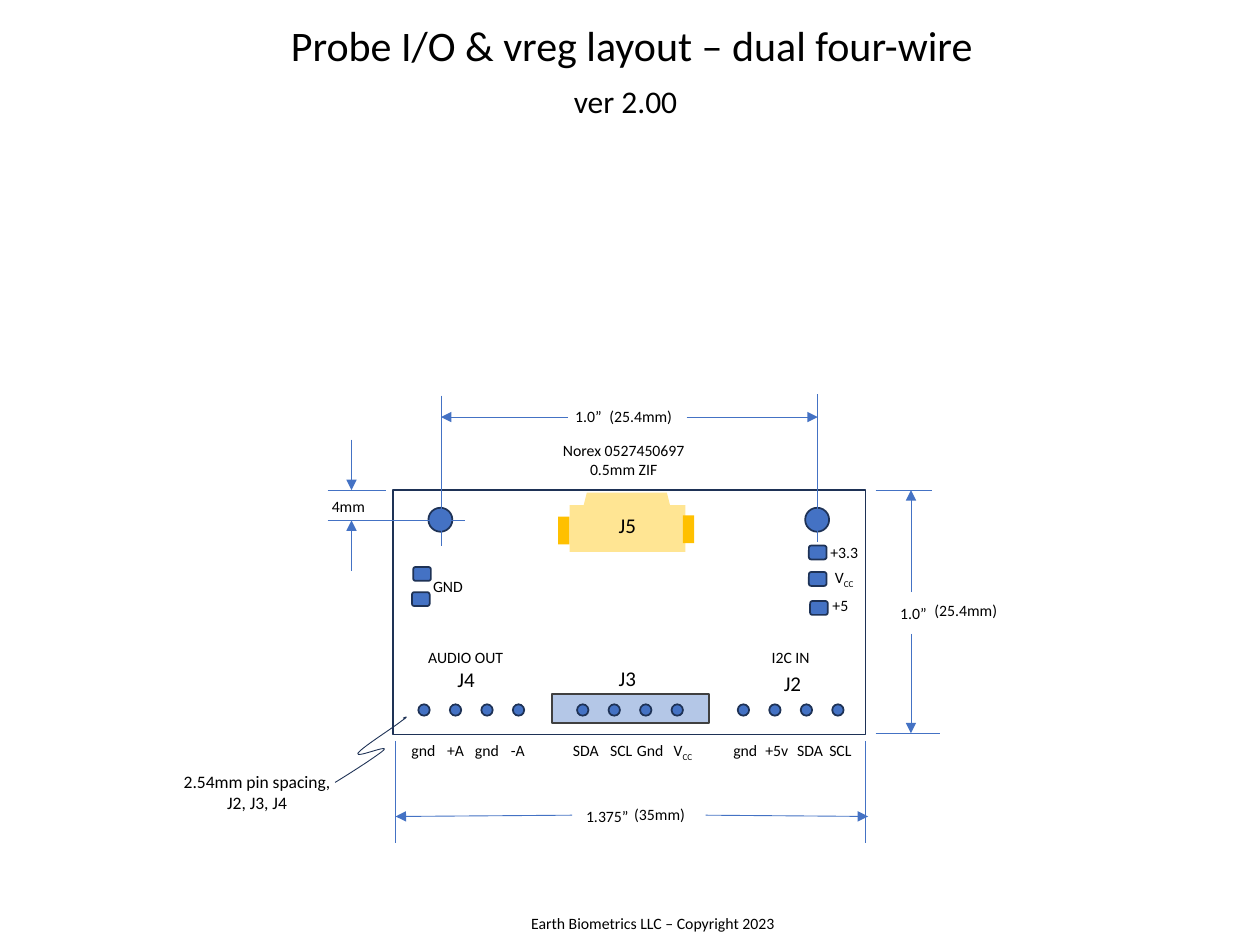
from dataclasses import dataclass
from typing import NamedTuple, Optional

from lxml.etree import SubElement
from pptx import Presentation
from pptx.dml.color import RGBColor
from pptx.enum.shapes import MSO_CONNECTOR, MSO_SHAPE
from pptx.enum.text import MSO_ANCHOR, PP_ALIGN
from pptx.oxml.ns import qn
from pptx.util import Inches, Pt

BLACK = RGBColor(0x00, 0x00, 0x00)
NAVY = RGBColor(0x1E, 0x32, 0x56)
BLUE = RGBColor(0x44, 0x72, 0xC4)
PALE_BLUE = RGBColor(0xB4, 0xC7, 0xE7)
GRAY = RGBColor(0x40, 0x40, 0x40)
CREAM = RGBColor(0xFF, 0xE5, 0x93)
AMBER = RGBColor(0xFF, 0xC0, 0x00)
FONT = "Calibri"

# The slide is a grid of 1000 columns by 750 rows; all lengths count its cells.
SLIDE_W, SLIDE_H = Inches(10), Inches(7.5)
COL, ROW = SLIDE_W / 1000, SLIDE_H / 750

PIN_PITCH, PIN_SIZE, PIN_Y = 25, 9, 563.5
LABEL_TOP, LABEL_H = 583, 25
BOARD_LEFT, BOARD_TOP, BOARD_RIGHT, BOARD_BOTTOM = 312, 389, 687, 583
HOLE_Y, HOLE_SIZE = 412.5, 19


class Box(NamedTuple):
    left: float
    top: float
    width: float
    height: float


class PinLabel(NamedTuple):
    text: str
    center: float
    width: float


@dataclass
class Header:
    name: str
    name_box: Box
    first_pin: float
    pin_labels: tuple[PinLabel, ...]


@dataclass
class Label:
    """Centred text; an underscore starts a subscript."""
    text: str
    box: Box
    size: int = 9


@dataclass
class Rule:
    x1: float
    y1: float
    x2: float
    y2: float
    arrow: bool = False


HEADERS = (
    Header("J4", Box(353, 524, 34, 30), 336.5, (
        PinLabel("gnd", 336, 42), PinLabel("+A", 361.5, 35),
        PinLabel("gnd", 386.5, 43), PinLabel("-A", 411, 34))),
    Header("J3", Box(481, 523, 34, 30), 462.5, (
        PinLabel("SDA", 465, 44), PinLabel("SCL", 493, 48),
        PinLabel("Gnd", 516, 42), PinLabel("V_CC", 542, 42))),
    Header("J2", Box(612, 527, 34, 30), 590, (
        PinLabel("gnd", 591.5, 41), PinLabel("+5v", 616.5, 41),
        PinLabel("SDA", 643, 44), PinLabel("SCL", 667, 48))),
)

LABELS = (
    Label("ver 2.00", Box(445, 60, 103, 40), 18),
    Label("Earth Biometrics LLC – Copyright 2023", Box(273, 720, 490, 25)),
    Label("Norex 0527450697\n0.5mm ZIF", Box(393, 345, 204, 40)),
    Label("2.54mm pin spacing,\nJ2, J3, J4", Box(129, 607, 150, 44), 10),
    Label("J5", Box(481, 402, 34, 30), 12),
    Label("+3.3", Box(645, 426, 50, 25)),
    Label("V_CC", Box(649, 446, 42, 25)),
    Label("+5", Box(649, 468, 36, 25)),
    Label("GND", Box(332, 453, 47, 25)),
    Label("AUDIO OUT", Box(327, 509, 85, 25)),
    Label("I2C IN", Box(585, 509, 85, 25)),
    Label("1.375”", Box(452, 635, 60, 25)),
    Label("(35mm)", Box(487, 634, 73, 25)),
    Label("1.0”", Box(696, 474, 58, 25)),
    Label("(25.4mm)", Box(730, 472, 73, 25)),
    Label("1.0”", Box(437, 318, 60, 25)),
    Label("(25.4mm)", Box(472, 318, 73, 25)),
    Label("4mm", Box(240, 389, 73, 25)),
)

HOLES_X = (349.5, 648.5)
SOLDER_PADS = ((643, 477), (642, 454), (642, 433), (328, 450), (327, 470))

DIMENSIONS = (
    # Board height
    Rule(695, BOARD_BOTTOM - 1, 746, BOARD_BOTTOM - 1),
    Rule(695, BOARD_TOP, 740, BOARD_TOP),
    Rule(723, 470, 723, BOARD_TOP, True),
    Rule(723, 503, 723, BOARD_BOTTOM - 1, True),
    # Board width
    Rule(687, 588, 687, 669),
    Rule(314, 588, 314, 669),
    Rule(454, 647, 314, 648, True),
    Rule(560, 647, 689, 648, True),
    # Hole spacing
    Rule(350, 314, 350, 433),
    Rule(649, 313, 649, 430),
    Rule(451, 331, 350, 331, True),
    Rule(545, 331, 649, 331, True),
    # Hole to board edge
    Rule(260, 413, 369, 413),
    Rule(260, BOARD_TOP, 306, BOARD_TOP),
    Rule(279, 349, 279, BOARD_TOP, True),
    Rule(279, 453, 279, 413, True),
)

# Start, then two control points and an end for each curve.
LEADER = ((266, 621), (284, 610), (302, 598), (305, 595), (308, 591),
          (282, 602), (284, 598), (286, 594), (313, 577), (319, 572),
          (325, 568), (322, 569), (320, 570))


def place(box: Box) -> tuple[int, int, int, int]:
    return (round(box.left * COL), round(box.top * ROW),
            round(box.width * COL), round(box.height * ROW))


def centered(x: float, y: float, size: float) -> Box:
    return Box(x - size / 2, y - size / 2, size, size)


def add_run(paragraph, text: str, size: int):
    run = paragraph.add_run()
    run.text = text
    run.font.name, run.font.size = FONT, Pt(size)
    run.font.color.rgb = BLACK
    return run


def draw_label(shapes, label: Label) -> None:
    frame = shapes.add_textbox(*place(label.box)).text_frame
    frame.word_wrap = True
    frame.margin_left = frame.margin_right = 0
    for i, line in enumerate(label.text.split("\n")):
        paragraph = frame.add_paragraph() if i else frame.paragraphs[0]
        paragraph.alignment = PP_ALIGN.CENTER
        base, _, subscript = line.partition("_")
        add_run(paragraph, base, label.size)
        if subscript:
            run = add_run(paragraph, subscript, label.size)
            run.font._element.set("baseline", "-25000")


def draw_part(shapes, kind: MSO_SHAPE, box: Box, fill: Optional[RGBColor],
              outline: Optional[RGBColor] = None) -> None:
    part = shapes.add_shape(kind, *place(box))
    part.shadow.inherit = False
    if fill is None:
        part.fill.background()
    else:
        part.fill.solid()
        part.fill.fore_color.rgb = fill
    if outline is None:
        part.line.fill.background()
    else:
        part.line.color.rgb, part.line.width = outline, Pt(1)


def draw_rule(shapes, rule: Rule) -> None:
    line = shapes.add_connector(
        MSO_CONNECTOR.STRAIGHT, round(rule.x1 * COL), round(rule.y1 * ROW),
        round(rule.x2 * COL), round(rule.y2 * ROW))
    line.line.color.rgb, line.line.width = BLUE, Pt(0.5)
    if rule.arrow:
        SubElement(line.line._get_or_add_ln(), qn("a:tailEnd"), type="triangle")
    SubElement(line._element.spPr, qn("a:effectLst"))


def draw_leader(shapes) -> None:
    """Draw the control points as segments, then join each three as a curve."""
    start, *rest = [(round(x * COL), round(y * ROW)) for x, y in LEADER]
    builder = shapes.build_freeform(*start)
    builder.add_line_segments(rest, close=False)
    leader = builder.convert_to_shape()
    leader.shadow.inherit = False
    leader.fill.background()
    leader.line.color.rgb, leader.line.width = NAVY, Pt(0.5)
    segments = list(leader._element.iter(qn("a:lnTo")))
    for i in range(0, len(segments), 3):
        curve = SubElement(segments[i].getparent(), qn("a:cubicBezTo"))
        for segment in segments[i:i + 3]:
            curve.append(segment[0])
            segment.getparent().remove(segment)


def draw_header(shapes, header: Header) -> None:
    draw_label(shapes, Label(header.name, header.name_box, 12))
    for i, (text, center, width) in enumerate(header.pin_labels):
        pin = centered(header.first_pin + i * PIN_PITCH, PIN_Y, PIN_SIZE)
        draw_part(shapes, MSO_SHAPE.OVAL, pin, BLUE, NAVY)
        draw_label(shapes, Label(
            text, Box(center - width / 2, LABEL_TOP, width, LABEL_H)))


def draw_title(title) -> None:
    title.left, title.top, title.width, title.height = place(Box(216, 12, 571, 52))
    title.text_frame.vertical_anchor = MSO_ANCHOR.MIDDLE
    paragraph = title.text_frame.paragraphs[0]
    paragraph.alignment, paragraph.line_spacing = PP_ALIGN.CENTER, 0.9
    add_run(paragraph, "Probe I/O & vreg layout – dual four-wire", 24)


def main() -> None:
    deck = Presentation()
    deck.slide_width, deck.slide_height = SLIDE_W, SLIDE_H
    shapes = deck.slides.add_slide(deck.slide_layouts[5]).shapes
    draw_title(shapes.title)

    draw_part(shapes, MSO_SHAPE.TRAPEZOID, Box(458, 391, 79, 31), CREAM)
    draw_part(shapes, MSO_SHAPE.RECTANGLE, Box(452, 401, 92, 37), CREAM)
    board = Box(BOARD_LEFT, BOARD_TOP, BOARD_RIGHT - BOARD_LEFT, BOARD_BOTTOM - BOARD_TOP)
    draw_part(shapes, MSO_SHAPE.RECTANGLE, board, None, NAVY)
    draw_part(shapes, MSO_SHAPE.RECTANGLE, Box(438, 551, 125, 23), PALE_BLUE, GRAY)
    for left, top in ((443, 410), (542, 409)):
        draw_part(shapes, MSO_SHAPE.RECTANGLE, Box(left, top, 9, 22), AMBER)
    for left, top in SOLDER_PADS:
        draw_part(shapes, MSO_SHAPE.ROUNDED_RECTANGLE, Box(left, top, 14, 11), BLUE, NAVY)
    for x in HOLES_X:
        draw_part(shapes, MSO_SHAPE.OVAL, centered(x, HOLE_Y, HOLE_SIZE), BLUE, NAVY)
    for header in HEADERS:
        draw_header(shapes, header)
    for rule in DIMENSIONS:
        draw_rule(shapes, rule)
    draw_leader(shapes)
    for label in LABELS:
        draw_label(shapes, label)
    deck.save("out.pptx")


if __name__ == "__main__":
    main()
